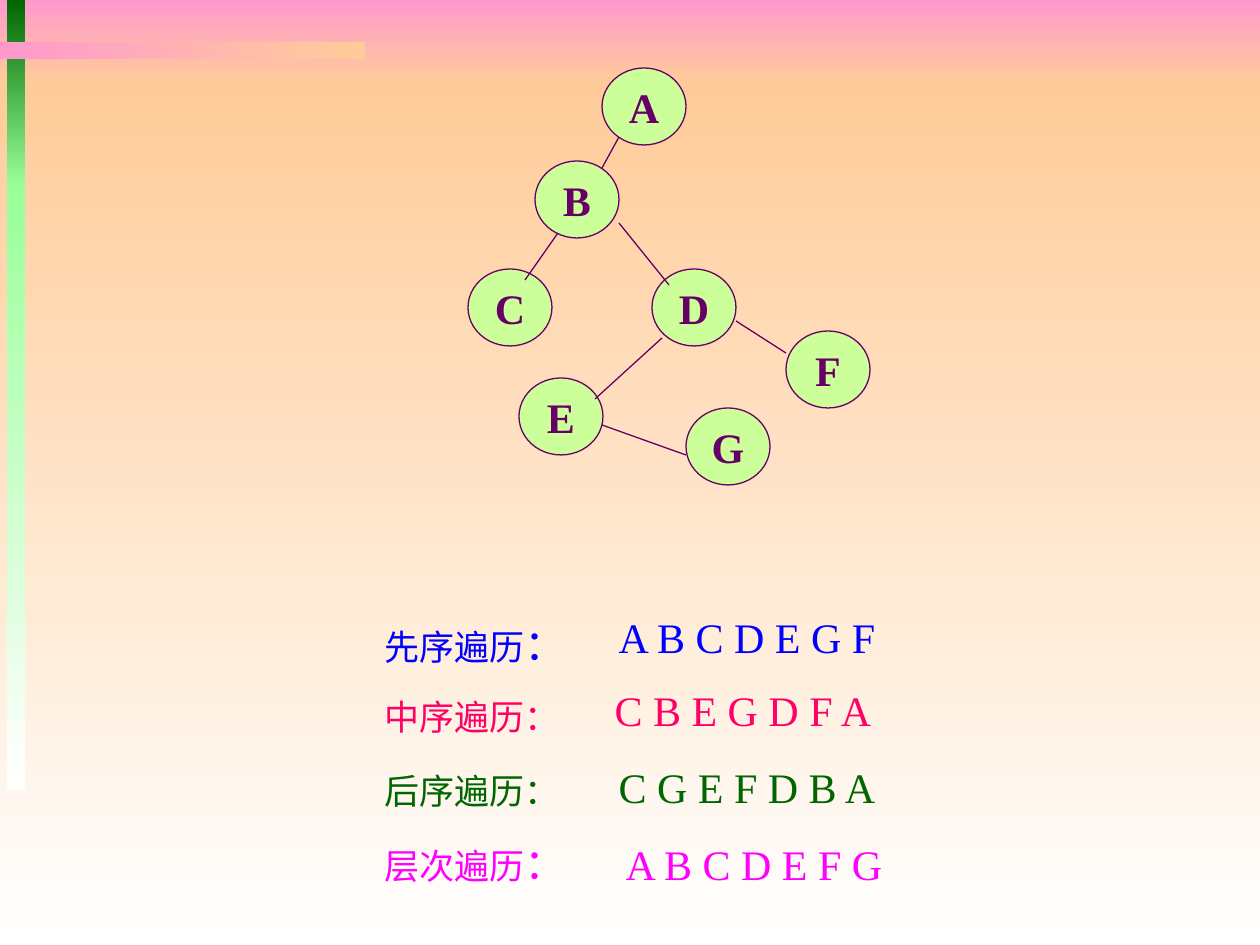
import pptx
import pptx.util
import pptx.dml.color
import pptx.enum.shapes
import pptx.enum.text
import pptx.oxml

RGB = pptx.dml.color.RGBColor
SHAPE = pptx.enum.shapes.MSO_SHAPE
ALIGN = pptx.enum.text.PP_ALIGN
FIT = pptx.enum.text.MSO_AUTO_SIZE
MID = pptx.enum.text.MSO_ANCHOR.MIDDLE
FONT = "Times New Roman"
PX = 914400 / 126

PINK = RGB(0xFF, 0x99, 0xCC)
PEACH = RGB(0xFF, 0xCC, 0x99)
WHITE = RGB(0xFF, 0xFF, 0xFF)
GREEN = RGB(0x00, 0x66, 0x00)
MINT = RGB(0x99, 0xFF, 0x99)
LIME = RGB(0xCC, 0xFF, 0x99)
PLUM = RGB(0x66, 0x00, 0x66)
BLUE = RGB(0x00, 0x00, 0xFF)
ROSE = RGB(0xFF, 0x00, 0x66)
FUCHSIA = RGB(0xFF, 0x00, 0xFF)

DOWN, ACROSS = 270, 0
# left, top, width, height, first colour, last colour, angle
BANDS = [
    (0, 0, 1260, 84, PINK, PEACH, DOWN),
    (0, 84, 1260, 861, PEACH, WHITE, DOWN),
    (7, 0, 18, 186, GREEN, MINT, DOWN),
    (7, 184, 18, 606, MINT, WHITE, DOWN),
    (0, 42, 365, 17, PINK, PEACH, ACROSS),
]

NODE_W, NODE_H = 84, 77
NODES = {
    "A": (602, 68), "B": (535, 161), "C": (468, 269), "D": (652, 269),
    "E": (519, 378), "F": (786, 331), "G": (686, 408),
}
EDGES = [
    (619, 137, 602, 168),  # A-B
    (558, 233, 525, 280),  # B-C
    (619, 223, 669, 285),  # B-D
    (662, 338, 595, 399),  # D-E
    (736, 321, 786, 353),  # D-F
    (602, 425, 686, 455),  # E-G
]

# name, colon size, order, centre and top of the order, its width, colour
ORDERS = [
    ("先序遍历", 24, "A B C D E G F", 747, 605, 284, BLUE),
    ("中序遍历", 20, "C B E G D F A", 743, 678, 314, ROSE),
    ("后序遍历", 20, "C G E F D B A", 747, 755, 320, GREEN),
    ("层次遍历", 24, "A B C D E F G", 754, 832, 289, FUCHSIA),
]
LABEL_X, LABEL_MID, LABEL_STEP = 372, 644, 73
LABEL_SIZE = {20: (200, 55), 24: (207, 63)}


def emu(*vals):
    return [round(v * PX) for v in vals]


def put(item, vals):
    for key, val in vals.items():
        setattr(item, key, val)


def write(frame, runs, align, color, bold=False):
    """Fill a text frame with one paragraph of (text, size) runs."""
    put(frame, {"vertical_anchor": MID})
    para = frame.paragraphs[0]
    para.alignment = align
    for text, size in runs:
        run = para.add_run()
        run.text = text
        put(run.font, {"name": FONT, "size": pptx.util.Pt(size), "bold": bold})
        run.font.color.rgb = color


def add_text(slide, box, runs, align, color, wrap):
    frame = slide.shapes.add_textbox(*emu(*box)).text_frame
    put(frame, {"word_wrap": wrap, "auto_size": FIT.SHAPE_TO_FIT_TEXT})
    write(frame, runs, align, color)


def add_band(slide, x, y, w, h, first, last, angle):
    band = slide.shapes.add_shape(SHAPE.RECTANGLE, *emu(x, y, w, h))
    band.shadow.inherit = False
    band.line.fill.background()
    band.fill.gradient()
    band.fill.gradient_angle = angle
    for stop, color in zip(band.fill.gradient_stops, (first, last)):
        stop.color.rgb = color


def add_node(slide, name, x, y):
    node = slide.shapes.add_shape(SHAPE.OVAL, *emu(x, y, NODE_W, NODE_H))
    node.shadow.inherit = False
    node.fill.solid()
    node.fill.fore_color.rgb = LIME
    ink(node.line)
    node.text_frame.word_wrap = False
    write(node.text_frame, [(name, 24)], ALIGN.CENTER, PLUM, True)


def add_edge(slide, ends):
    kind = pptx.enum.shapes.MSO_CONNECTOR.STRAIGHT
    edge = slide.shapes.add_connector(kind, *emu(*ends))
    ink(edge.line)
    props = edge._element.spPr
    props.append(pptx.oxml.parse_xml(
        '<a:effectLst xmlns:a="http://schemas.openxmlformats.org/drawingml/2006/main"/>'))


def ink(line):
    line.color.rgb = PLUM
    line.width = pptx.util.Pt(0.75)


def main():
    deck = pptx.Presentation()
    put(deck, {"slide_width": pptx.util.Inches(10),
               "slide_height": pptx.util.Inches(7.5)})
    slide = deck.slides.add_slide(deck.slide_layouts[6])
    for band in BANDS:
        add_band(slide, *band)
    for row, (name, colon, order, mid, top, wide, color) in enumerate(ORDERS):
        w, h = LABEL_SIZE[colon]
        y = LABEL_MID + row * LABEL_STEP - h / 2
        add_text(slide, (LABEL_X, y, w, h), [(name, 20), ("：", colon)],
                 ALIGN.LEFT, color, False)
        add_text(slide, (mid - wide / 2, top, wide, 63), [(order, 24)],
                 ALIGN.CENTER, color, True)
    for name, (x, y) in NODES.items():
        add_node(slide, name, x, y)
    for ends in EDGES:
        add_edge(slide, ends)
    deck.save("out.pptx")


if __name__ == "__main__":
    main()
